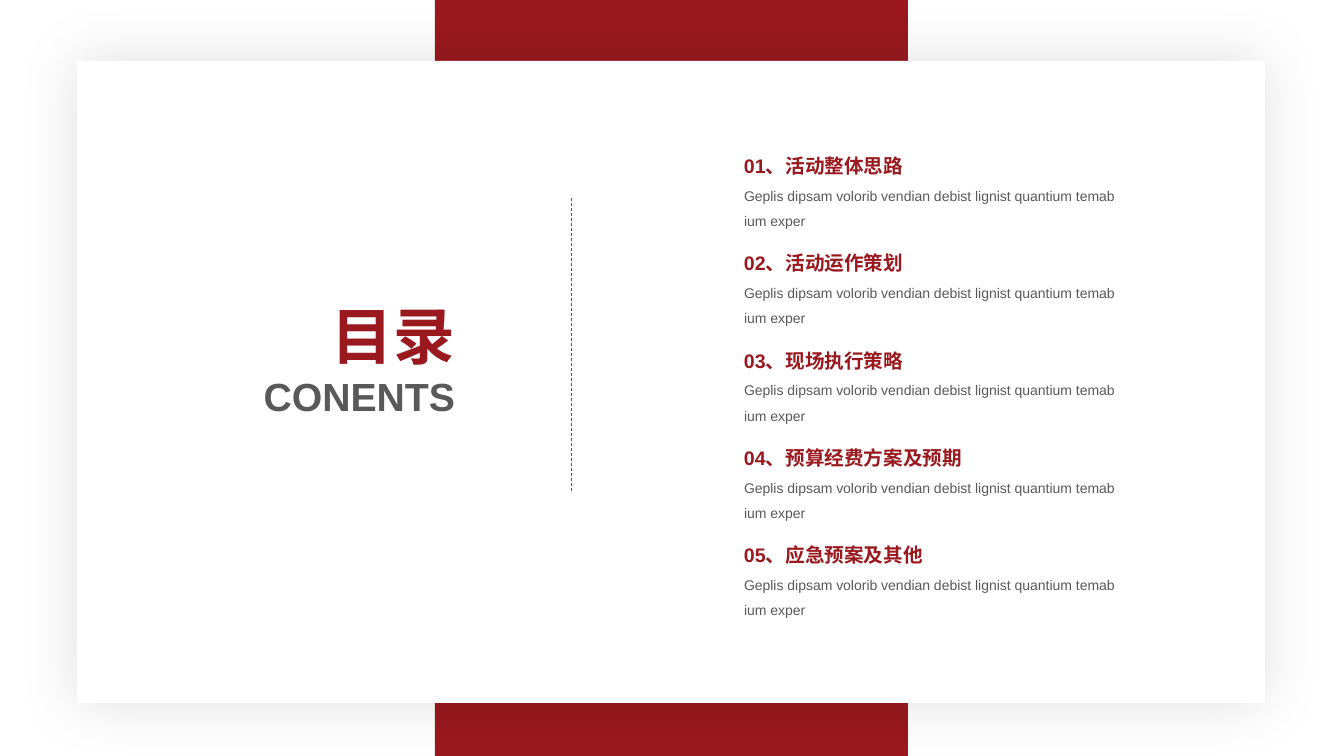
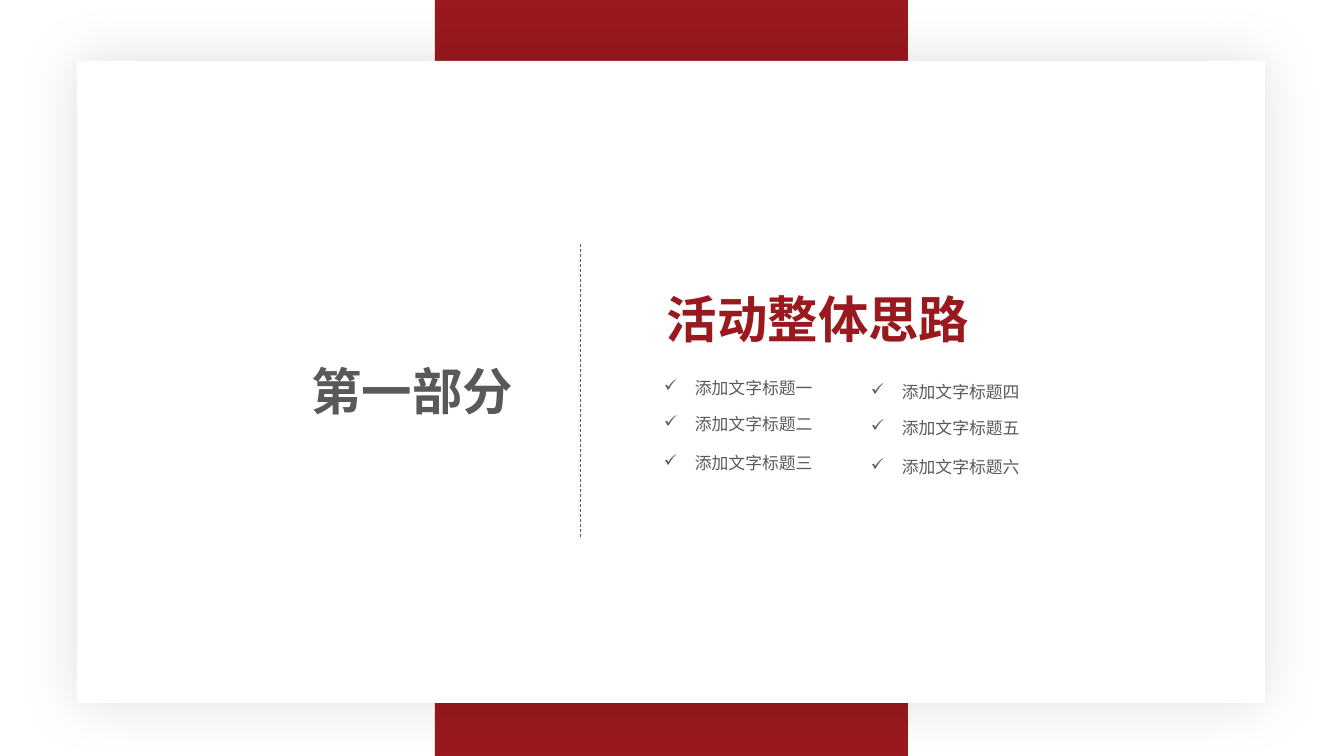
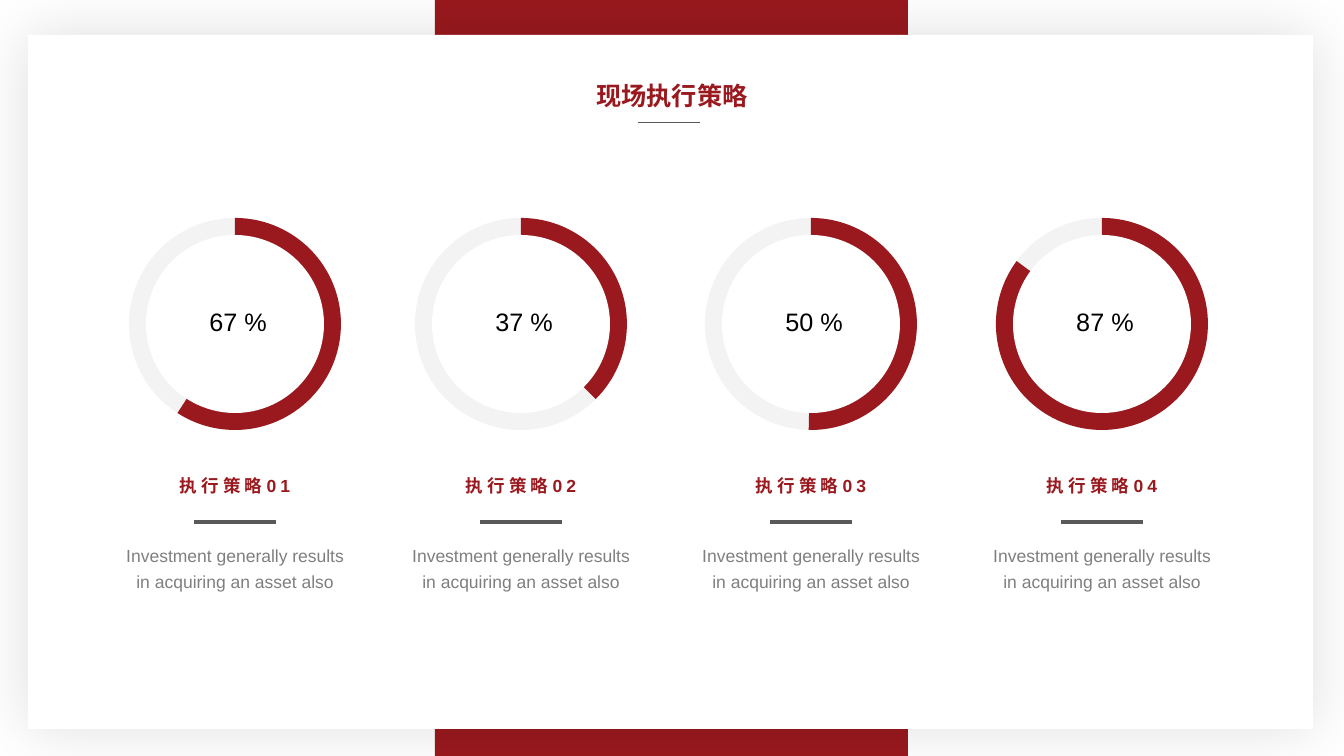
"""Build three event-plan slides: contents, section opener and strategy progress rings."""
from dataclasses import dataclass

from lxml.etree import SubElement
from pptx import Presentation
from pptx.dml.color import RGBColor
from pptx.enum.dml import MSO_LINE_DASH_STYLE as Dash
from pptx.enum.shapes import MSO_CONNECTOR as Connector, MSO_SHAPE as Shape
from pptx.enum.text import MSO_ANCHOR as Anchor, MSO_AUTO_SIZE as AutoSize, PP_ALIGN as Align
from pptx.oxml.ns import qn
from pptx.util import Emu, Pt


@dataclass(frozen=True)
class Style:
    size: float
    color: str
    bold: bool = False
    tracking: int = 0


@dataclass(frozen=True)
class Theme:
    font: str = "Arial"
    red: str = "99191E"
    white: str = "FFFFFF"
    gray: str = "595959"
    track: str = "F2F2F2"
    cover: Style = Style(44, "99191E", True)
    subtitle: Style = Style(28, "595959", True)
    section: Style = Style(36, "99191E", True)
    chapter: Style = Style(36, "595959", True)
    heading: Style = Style(18, "99191E", True)
    entry: Style = Style(14, "99191E", True)
    detail: Style = Style(10, "595959")
    check: Style = Style(12, "595959")
    percent: Style = Style(18, "000000")
    label: Style = Style(12.5, "99191E", True, 3)
    note: Style = Style(12.5, "7F7F7F")


THEME = Theme()
EMU_PER_PX = 914400 / 100.8
SLIDE = (1344, 756)
BAND = (435, 0, 473, 756)
WIDE_MARGIN_CARD = (77, 61, 1188, 642)
FULL_CARD = (28, 35, 1285, 694)
DEFAULT_INSETS = (10, 5, 10, 5)

CONTENTS_TITLE = ("目录", "CONENTS")
CONTENTS = ["01、活动整体思路", "02、活动运作策划", "03、现场执行策略", "04、预算经费方案及预期", "05、应急预案及其他"]
CONTENTS_DETAIL = "Geplis dipsam volorib vendian debist lignist quantium temab ium exper"
FIRST_ENTRY_TOP, LAST_ENTRY_TOP = 149, 538

CHAPTER = "第一部分"
SECTION_TITLE = "活动整体思路"
CHECK_COLUMNS = [
    (657, 0, ["添加文字标题一", "添加文字标题二", "添加文字标题三"]),
    (864, 4, ["添加文字标题四", "添加文字标题五", "添加文字标题六"]),
]
CHECK_TOPS = (374, 410, 449)

STRATEGY_TITLE = "现场执行策略"
STRATEGIES = [
    {"center": 235, "percent": "67 %", "sweep": 212.84, "label": "执行策略01"},
    {"center": 521, "percent": "37 %", "sweep": 135.13, "label": "执行策略02"},
    {"center": 811, "percent": "50 %", "sweep": 181.2, "label": "执行策略03"},
    {"center": 1102, "percent": "87 %", "sweep": 306.39, "label": "执行策略04"},
]
STRATEGY_NOTE = "Investment generally results in acquiring an asset also"
RING_MIDDLE, RING_SIZE, HOLE_SIZE = 324, 212, 178


def px(length):
    """Convert pixels to EMU."""
    return Emu(round(length * EMU_PER_PX))


def rgb(color):
    """Turn a hex string into a colour."""
    return RGBColor.from_string(color)


def write(box, paragraphs, align=Align.LEFT, insets=DEFAULT_INSETS, anchor=Anchor.TOP,
          spacing=1.0, bullet=None):
    """Fill a text shape with one styled run per paragraph."""
    frame = box.text_frame
    frame.word_wrap = True
    frame.auto_size = AutoSize.NONE
    frame.vertical_anchor = anchor
    frame.margin_left, frame.margin_top, frame.margin_right, frame.margin_bottom = map(px, insets)
    for index, (text, style) in enumerate(paragraphs):
        para = frame.add_paragraph() if index else frame.paragraphs[0]
        if bullet:
            props = para._p.get_or_add_pPr()
            props.set("marL", str(px(31)))
            props.set("indent", str(-px(31)))
            SubElement(props, qn("a:buChar")).set("char", bullet)
        para.alignment = align
        para.line_spacing = spacing
        span = para.add_run()
        span.text = text
        span.font.name = THEME.font
        span.font.size = Pt(style.size)
        span.font.bold = style.bold
        span.font.color.rgb = rgb(style.color)
        if style.tracking:
            span._r.get_or_add_rPr().set("spc", str(style.tracking * 100))


def add_text(page, area, text, style, **layout):
    """Add a text box with one paragraph."""
    write(page.shapes.add_textbox(*map(px, area)), [(text, style)], **layout)


def add_block(page, kind, area, color):
    """Add a flat, borderless shape."""
    block = page.shapes.add_shape(kind, *map(px, area))
    block.shadow.inherit = False
    block.fill.solid()
    block.fill.fore_color.rgb = rgb(color)
    block.line.fill.background()
    return block


def add_line(page, start, end, width, dash=None):
    """Add a straight gray line without a shadow."""
    line = page.shapes.add_connector(Connector.STRAIGHT, *map(px, start + end))
    line.line.color.rgb = rgb(THEME.gray)
    line.line.width = Pt(width)
    if dash:
        line.line.dash_style = dash
    SubElement(line.element.spPr, qn("a:effectLst"))


def add_page(deck, card_area, title_area, title, align=Align.LEFT):
    """Add a slide with the red band, the shadowed card and its title."""
    page = deck.slides.add_slide(deck.slide_layouts[5])
    add_block(page, Shape.RECTANGLE, BAND, THEME.red)
    card = add_block(page, Shape.RECTANGLE, card_area, THEME.white)
    effects = card.element.spPr.find(qn("a:effectLst"))
    shadow = SubElement(effects, qn("a:outerShdw"), blurRad=str(Pt(44)), algn="ctr", rotWithShape="0")
    color = SubElement(shadow, qn("a:srgbClr"), val="000000")
    SubElement(color, qn("a:alpha"), val="12000")
    heading = page.shapes.title
    heading.left, heading.top, heading.width, heading.height = map(px, title_area)
    heading.element.getparent().append(heading.element)
    write(heading, title, align)
    return page


def add_ring(page, center, sweep):
    """Draw a progress ring that runs clockwise from the top."""
    def square(size):
        return center - size / 2, RING_MIDDLE - size / 2, size, size

    track = add_block(page, Shape.OVAL, square(RING_SIZE), THEME.track)
    track_color = track.element.spPr.find(qn("a:solidFill")).find(qn("a:srgbClr"))
    SubElement(track_color, qn("a:alpha"), val="90000")
    pie = add_block(page, Shape.PIE, square(RING_SIZE), THEME.red)
    pie.adjustments[0] = 270 * 0.6
    pie.adjustments[1] = (270 + sweep) % 360 * 0.6
    add_block(page, Shape.OVAL, square(HOLE_SIZE), THEME.white)


def build_contents(deck):
    """Build the table of contents."""
    title = list(zip(CONTENTS_TITLE, (THEME.cover, THEME.subtitle)))
    page = add_page(deck, WIDE_MARGIN_CARD, (236, 293, 229, 132), title, Align.RIGHT)
    add_line(page, (571, 198), (571, 492), 0.5, Dash.DASH)
    pitch = (LAST_ENTRY_TOP - FIRST_ENTRY_TOP) / (len(CONTENTS) - 1)
    for index, entry in enumerate(CONTENTS):
        top = FIRST_ENTRY_TOP + index * pitch
        add_text(page, (734, top, 272, 34), entry, THEME.entry)
        add_text(page, (734, top + 25, 396, 57), CONTENTS_DETAIL, THEME.detail, spacing=1.5)


def build_section(deck):
    """Build the section opener with its checklist."""
    page = add_page(deck, WIDE_MARGIN_CARD, (657, 283, 340, 72), [(SECTION_TITLE, THEME.section)])
    add_text(page, (158, 355, 508, 72), CHAPTER, THEME.chapter, align=Align.CENTER)
    for left, shift, items in CHECK_COLUMNS:
        for top, item in zip(CHECK_TOPS, items):
            add_text(page, (left, top + shift, 180, 28), item, THEME.check,
                     insets=(7, 4, 7, 4), bullet="✓")
    add_line(page, (580, 244), (580, 538), 0.5, Dash.DASH)


def build_strategies(deck):
    """Build the row of progress rings."""
    page = add_page(deck, FULL_CARD, (572, 75, 200, 40), [(STRATEGY_TITLE, THEME.heading)], Align.CENTER)
    add_line(page, (638, 122), (700, 122), 0.5)
    for strategy in STRATEGIES:
        center = strategy["center"]
        add_ring(page, center, strategy["sweep"])
        add_text(page, (center - 47, 311, 100, 27), strategy["percent"], THEME.percent,
                 align=Align.CENTER, insets=(0, 0, 0, 0), spacing=Pt(18.6))
        add_text(page, (center - 80, 470, 160, 31), strategy["label"], THEME.label,
                 align=Align.CENTER, anchor=Anchor.MIDDLE)
        add_line(page, (center - 41, 522), (center + 41, 522), 3)
        add_text(page, (center - 121, 535, 242, 60), STRATEGY_NOTE, THEME.note,
                 align=Align.CENTER, insets=(12, 6, 12, 6), spacing=Pt(18.2))


def main():
    """Build and save the deck."""
    deck = Presentation()
    deck.slide_width, deck.slide_height = map(px, SLIDE)
    build_contents(deck)
    build_section(deck)
    build_strategies(deck)
    deck.save("out.pptx")


if __name__ == "__main__":
    main()
